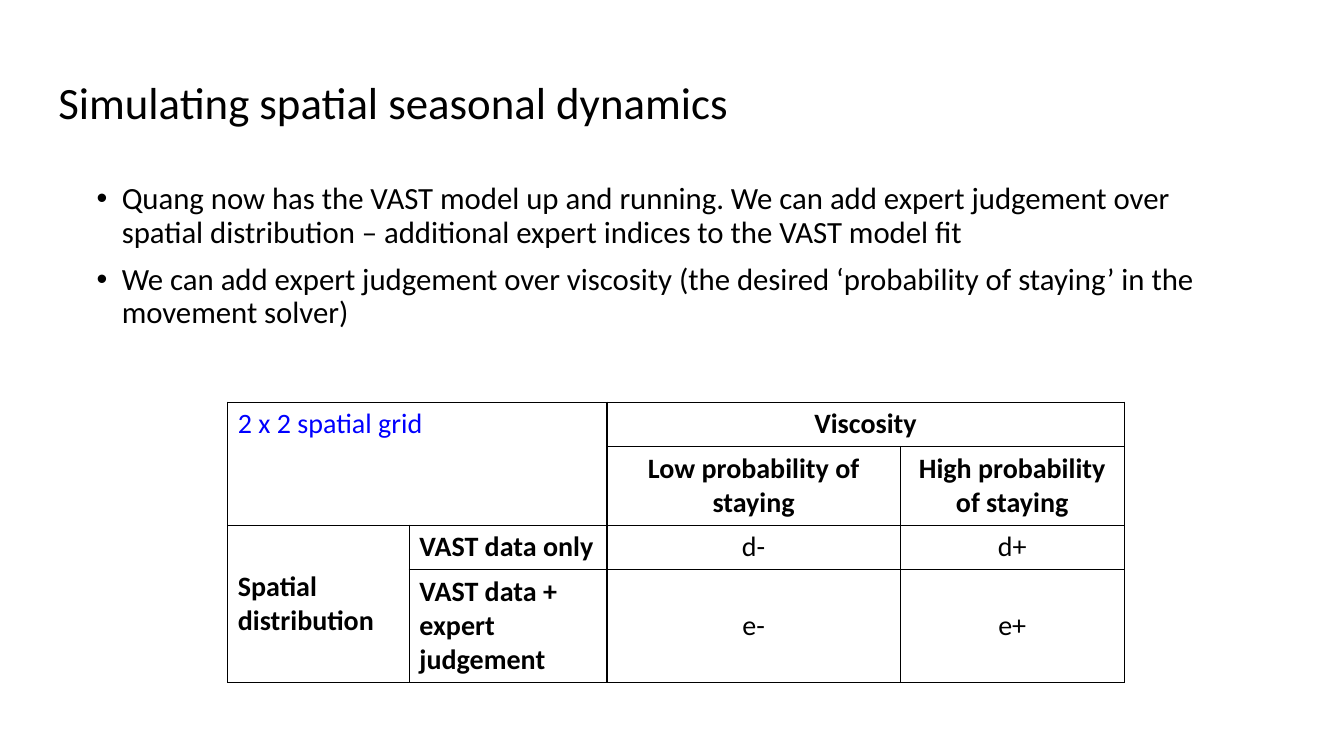
from dataclasses import dataclass

from lxml.etree import SubElement
from pptx import Presentation
from pptx.dml.color import RGBColor
from pptx.enum.text import MSO_ANCHOR as Anchor, PP_ALIGN as Align
from pptx.oxml.ns import qn
from pptx.util import Inches, Pt


@dataclass(frozen=True)
class Theme:
    font: str = "Calibri"
    ink: str = "000000"
    accent: str = "0000FF"
    title_size: int = 32
    body_size: int = 22
    table_size: int = 20
    border: float = 1


def apply(target, values):
    for name, value in values.items():
        setattr(target, name, value)


class SlideBuilder:
    def __init__(self, page, theme):
        self.page = page
        self.theme = theme

    def add_span(self, para, text, size, color=None, **font_values):
        span = para.add_run()
        span.text = text
        apply(span.font, {"name": self.theme.font, "size": Pt(size), **font_values})
        span.font.color.rgb = RGBColor.from_string(color or self.theme.ink)

    def add_text(self, area, lines, size, anchor=Anchor.TOP, bullets=False):
        box = self.page.shapes.add_textbox(*map(Inches, area))
        frame = box.text_frame
        apply(frame, {"word_wrap": True, "vertical_anchor": anchor})
        for index, line in enumerate(lines):
            para = frame.add_paragraph() if index else frame.paragraphs[0]
            if bullets:
                self.add_bullet(para)
            apply(para, {"line_spacing": 0.9, "space_before": Pt(10 if index else 0)})
            self.add_span(para, line, size)

    def add_bullet(self, para):
        properties = para._p.get_or_add_pPr()
        properties.set("marL", str(Inches(0.25)))
        properties.set("indent", str(Inches(-0.25)))
        SubElement(properties, qn("a:buFont"), typeface="Arial")
        SubElement(properties, qn("a:buChar"), char="•")

    def outline(self, cell):
        properties = cell._tc.get_or_add_tcPr()
        for side in ("lnL", "lnR", "lnT", "lnB"):
            line = SubElement(properties, qn(f"a:{side}"), w=str(Pt(self.theme.border)))
            fill = SubElement(line, qn("a:solidFill"))
            SubElement(fill, qn("a:srgbClr"), val=self.theme.ink)

    def add_grid(self, left, top, widths, heights, merges, entries):
        area = map(Inches, (left, top, sum(widths), sum(heights)))
        grid = self.page.shapes.add_table(len(heights), len(widths), *area).table
        apply(grid, {"first_row": False, "horz_banding": False})
        for column, width in zip(grid.columns, widths):
            column.width = Inches(width)
        for row, height in zip(grid.rows, heights):
            row.height = Inches(height)
        for cell in grid.iter_cells():
            self.outline(cell)
            cell.fill.background()
        for first, last in merges:
            grid.cell(*first).merge(grid.cell(*last))
        for position, (text, align, anchor, bold, color) in entries.items():
            cell = grid.cell(*position)
            cell.vertical_anchor = anchor
            para = cell.text_frame.paragraphs[0]
            para.alignment = align
            self.add_span(para, text, self.theme.table_size, color, bold=bold)


def main():
    deck = Presentation()
    apply(deck, {"slide_width": Inches(13.33), "slide_height": Inches(7.5)})
    theme = Theme()
    builder = SlideBuilder(deck.slides.add_slide(deck.slide_layouts[6]), theme)

    # Bullets
    builder.add_text((0.86, 1.77, 11.5, 4.76), [
        "Quang now has the VAST model up and running. We can add expert judgement "
        "over spatial distribution – additional expert indices to the VAST model fit",
        "We can add expert judgement over viscosity (the desired ‘probability of "
        "staying’ in the movement solver)",
    ], theme.body_size, bullets=True)

    # Title
    builder.add_text((0.48, 0.32, 7.14, 1.45), ["Simulating spatial seasonal dynamics"],
                     theme.title_size, Anchor.MIDDLE)

    # Scenario table: alignment, anchor, bold and colour by role
    corner = (Align.LEFT, Anchor.TOP, False, theme.accent)
    heading = (Align.CENTER, Anchor.TOP, True, theme.ink)
    group = (Align.LEFT, Anchor.MIDDLE, True, theme.ink)
    label = (Align.LEFT, Anchor.TOP, True, theme.ink)
    scenario = (Align.CENTER, Anchor.MIDDLE, False, theme.ink)
    entries = {
        (0, 0): ("2 x 2 spatial grid", *corner),
        (0, 2): ("Viscosity", *heading),
        (1, 2): ("Low probability of staying", *heading),
        (1, 3): ("High probability of staying", *heading),
        (2, 0): ("Spatial distribution", *group),
        (2, 1): ("VAST data only", *label),
        (3, 1): ("VAST data + expert judgement", *label),
    }
    for row, source in enumerate("de", start=2):
        for column, level in enumerate("-+", start=2):
            entries[row, column] = (source + level, *scenario)
    merges = [((0, 0), (1, 1)), ((0, 2), (0, 3)), ((2, 0), (3, 0))]
    builder.add_grid(2.26, 3.99, (1.8, 1.96, 2.91, 2.22), (0.44, 0.78, 0.44, 1.12),
                     merges, entries)

    deck.save("out.pptx")


if __name__ == "__main__":
    main()
